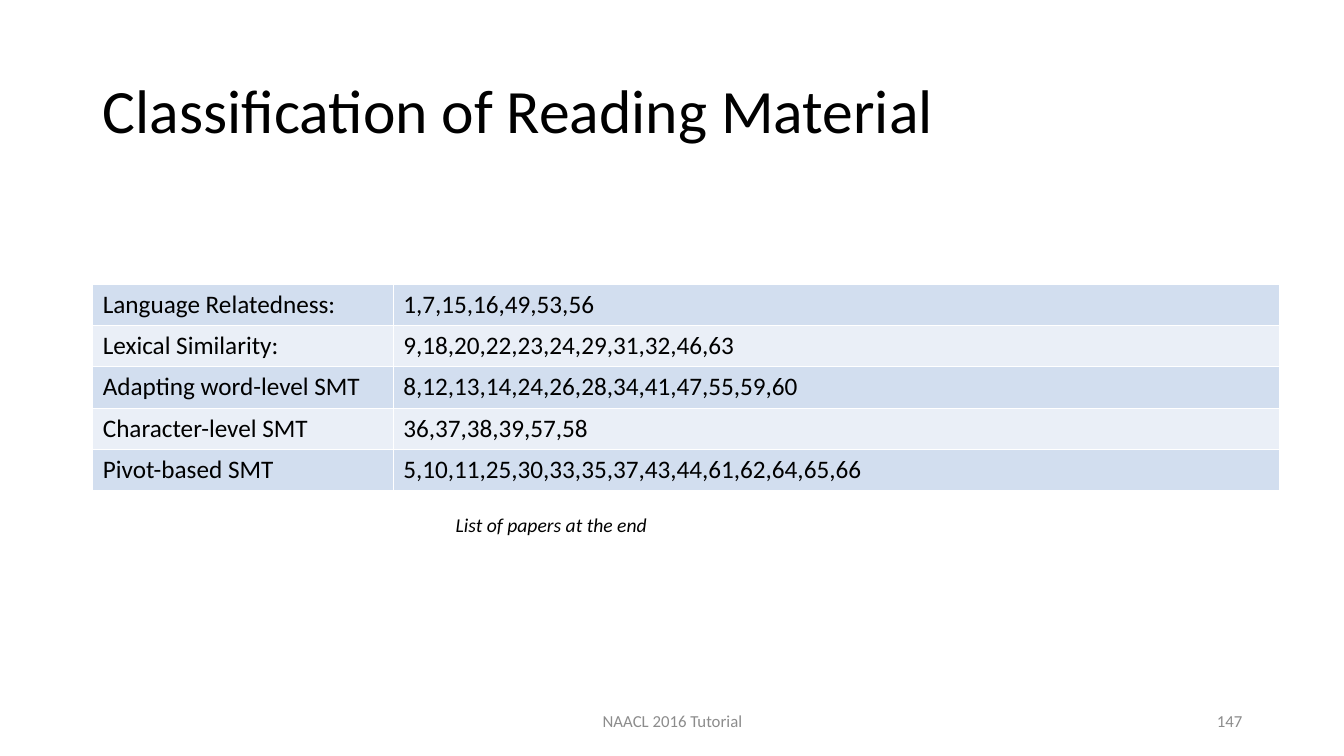
"""Build the reading material classification slide."""
from pptx import Presentation
from pptx.dml.color import RGBColor
from pptx.enum.text import MSO_ANCHOR, MSO_AUTO_SIZE, PP_ALIGN
from pptx.util import Inches, Pt

COLORS = {"text": "000000", "muted": "8C8C8C", "odd": "D2DEEF", "even": "EAEFF7"}
FONT = "Calibri"
READINGS = [
    ("Language Relatedness:", "1,7,15,16,49,53,56"),
    ("Lexical Similarity:", "9,18,20,22,23,24,29,31,32,46,63"),
    ("Adapting word-level SMT", "8,12,13,14,24,26,28,34,41,47,55,59,60"),
    ("Character-level SMT", "36,37,38,39,57,58"),
    ("Pivot-based SMT", "5,10,11,25,30,33,35,37,43,44,61,62,64,65,66"),
]
COLUMN_WIDTHS = (2.98, 8.79)
ROW_HEIGHT = 0.41


def write_text(frame, text, size, color="text", align=PP_ALIGN.LEFT, italic=False):
    frame.text = text
    para = frame.paragraphs[0]
    para.alignment = align
    for span in para.runs:
        span.font.name = FONT
        span.font.size = Pt(size)
        span.font.italic = italic
        span.font.color.rgb = RGBColor.from_string(COLORS[color])


def add_title(page, text):
    title = page.shapes.title
    title.left, title.top = Inches(0.92), Inches(0.4)
    title.width, title.height = Inches(11.5), Inches(1.45)
    frame = title.text_frame
    write_text(frame, text, 44)
    frame.auto_size = MSO_AUTO_SIZE.NONE
    frame.vertical_anchor = MSO_ANCHOR.MIDDLE
    frame.paragraphs[0].line_spacing = 0.9


def add_label(page, text, bounds, size, anchor=MSO_ANCHOR.MIDDLE, **style):
    box = page.shapes.add_textbox(*(Inches(value) for value in bounds))
    frame = box.text_frame
    frame.word_wrap = True
    frame.vertical_anchor = anchor
    write_text(frame, text, size, **style)


def add_readings(page):
    height = ROW_HEIGHT * len(READINGS)
    table = page.shapes.add_table(
        len(READINGS), len(COLUMN_WIDTHS), Inches(0.92), Inches(2.82),
        Inches(sum(COLUMN_WIDTHS)), Inches(height)).table
    table.first_row = False
    for column, width in zip(table.columns, COLUMN_WIDTHS):
        column.width = Inches(width)
    for index, (row, texts) in enumerate(zip(table.rows, READINGS)):
        row.height = Inches(ROW_HEIGHT)
        band = "even" if index % 2 else "odd"
        for cell, text in zip(row.cells, texts):
            cell.fill.solid()
            cell.fill.fore_color.rgb = RGBColor.from_string(COLORS[band])
            write_text(cell.text_frame, text, 18)


def main():
    deck = Presentation()
    deck.slide_width, deck.slide_height = Inches(13.33), Inches(7.5)
    page = deck.slides.add_slide(deck.slide_layouts[5])
    add_title(page, "Classification of Reading Material")
    add_label(page, "147", (9.42, 6.95, 3, 0.4), 12,
              color="muted", align=PP_ALIGN.RIGHT)
    add_label(page, "NAACL 2016 Tutorial", (4.42, 6.95, 4.5, 0.4), 12,
              color="muted", align=PP_ALIGN.CENTER)
    add_readings(page)
    add_label(page, "List of papers at the end", (4.42, 5.04, 2.72, 0.34), 14,
              anchor=MSO_ANCHOR.TOP, italic=True)
    deck.save("out.pptx")


if __name__ == "__main__":
    main()
